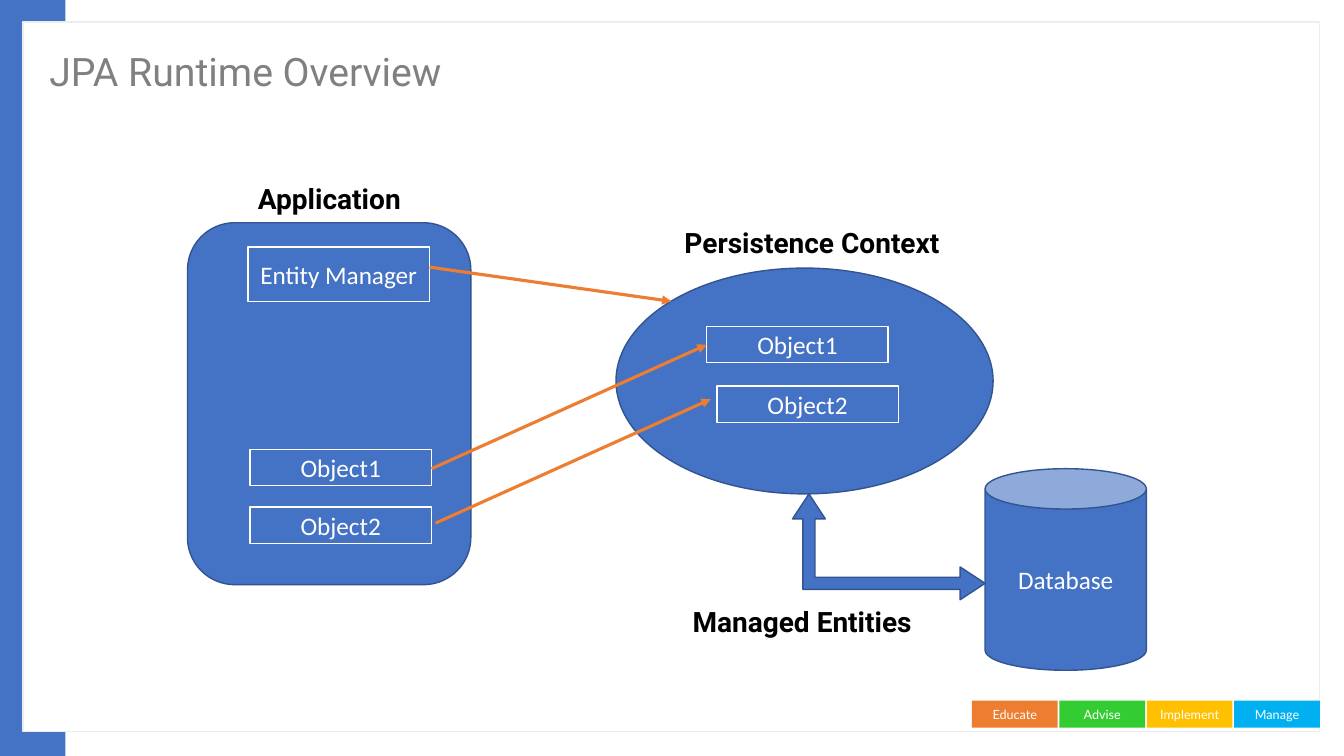
from pptx import Presentation
from pptx.dml.color import RGBColor
from pptx.enum.shapes import MSO_CONNECTOR, MSO_SHAPE
from pptx.enum.text import MSO_ANCHOR, PP_ALIGN
from pptx.oxml.ns import qn
from pptx.util import Inches, Pt
from lxml.etree import SubElement

THEME = {
    "blue": "4472C4", "edge": "325491", "white": "FFFFFF", "frame": "EDEDED",
    "arrow": "ED7D31", "line": 1, "arrow_line": 2.25,
    "title": dict(name="Roboto", size=28, color="808080"),
    "label": dict(name="Roboto", size=20, color="000000", bold=True),
    "box": dict(name="Calibri", size=18, color="FFFFFF"),
    "footer": dict(name="Lato", size=9, color="FFFFFF"),
}

# Content: places are left, top, width, height
TITLE = ("JPA Runtime Overview", (0.39, 0.3, 10.32, 0.87))
FOOTER = [("Educate", "ED7D31"), ("Advise", "33CC33"),
          ("Implement", "FFC000"), ("Manage", "00B0F0")]
CONTAINERS = [
    (MSO_SHAPE.ROUNDED_RECTANGLE, (1.86, 2.21, 2.81, 3.59), ""),
    (MSO_SHAPE.OVAL, (6.11, 2.66, 3.74, 2.24), ""),
    (MSO_SHAPE.CAN, (9.77, 4.65, 1.6, 2), "Database"),
]
BOX_W = 1.8
BOXES = [  # text, left, top, height
    ("Entity Manager", 2.46, 2.45, 0.54),
    ("Object1", 2.48, 4.46, 0.36), ("Object2", 2.48, 5.03, 0.36),
    ("Object1", 7.01, 3.24, 0.36), ("Object2", 7.11, 3.83, 0.36),
]
LABELS = [
    ("Managed Entities", (6.77, 5.95, 2.61, 0.44)),
    ("Persistence Context", (6.69, 2.19, 3.09, 0.44)),
    ("Application", (2.46, 1.75, 2.61, 0.44)),
]
ARROWS = [((4.26, 2.65), (6.66, 2.99)), ((4.28, 4.65), (7.01, 3.42)),
          ((4.32, 5.19), (7.05, 3.96))]

prs = Presentation()
prs.slide_width, prs.slide_height = Inches(13.33), Inches(7.5)
s = prs.slides.add_slide(prs.slide_layouts[6])


def inches(values):
    return [Inches(v) for v in values]


def rgb(value):
    return RGBColor.from_string(value)


def write(sp, text, style, align=PP_ALIGN.CENTER, anchor=MSO_ANCHOR.MIDDLE):
    tf = sp.text_frame
    tf.word_wrap, tf.vertical_anchor = True, anchor
    p = tf.paragraphs[0]
    p.alignment = align
    r = p.add_run()
    r.text = text
    for key, value in THEME[style].items():
        if key == "color":
            r.font.color.rgb = rgb(value)
        else:
            setattr(r.font, key, Pt(value) if key == "size" else value)
    return p


def shape(kind, place, fill=THEME["blue"], line=None, text="", style="box"):
    sp = s.shapes.add_shape(kind, *inches(place))
    sp.shadow.inherit = False
    sp.fill.solid()
    sp.fill.fore_color.rgb = rgb(fill)
    if line:
        sp.line.color.rgb = rgb(line)
        sp.line.width = Pt(THEME["line"])
    else:
        sp.line.fill.background()
    if text:
        write(sp, text, style)
    return sp


def textbox(text, place, style, anchor):
    sp = s.shapes.add_textbox(*inches(place))
    return write(sp, text, style, PP_ALIGN.LEFT, anchor)


# Side band, page frame and title
shape(MSO_SHAPE.RECTANGLE, (0, 0, 0.65, 7.5))
shape(MSO_SHAPE.RECTANGLE, (0.23, 0.22, 12.86, 7.04), THEME["white"], THEME["frame"])
textbox(*TITLE, "title", MSO_ANCHOR.MIDDLE).line_spacing = 0.9

# Footer tabs at an equal step
TAB_LEFT, TAB_STEP, TAB_W = 9.64, 0.867, 0.85
for i, (text, color) in enumerate(FOOTER):
    tab = shape(MSO_SHAPE.RECTANGLE, (TAB_LEFT + i * TAB_STEP, 6.95, TAB_W, 0.27),
                color, text=text, style="footer")
    tab.text_frame.margin_left = tab.text_frame.margin_right = 0

# Application, persistence context and database, then the boxes inside
for kind, place, text in CONTAINERS:
    shape(kind, place, line=THEME["edge"], text=text)
for text, left, top, height in BOXES:
    shape(MSO_SHAPE.RECTANGLE, (left, top, BOX_W, height), line=THEME["white"], text=text)

# Two-way arrow between context and database
sync = shape(MSO_SHAPE.LEFT_UP_ARROW, (8.29, 4.47, 1.05, 1.91), line=THEME["edge"])
sync.rotation = 90
for i, value in enumerate((0.114, 0.155, 0.236)):
    sync.adjustments[i] = value

for text, place in LABELS:
    textbox(text, place, "label", MSO_ANCHOR.TOP)

# Reference arrows
for start, end in ARROWS:
    c = s.shapes.add_connector(MSO_CONNECTOR.STRAIGHT, *inches(start + end))
    c.line.color.rgb = rgb(THEME["arrow"])
    c.line.width = Pt(THEME["arrow_line"])
    SubElement(c.line._get_or_add_ln(), qn("a:tailEnd"), type="triangle")
    SubElement(c._element.spPr, qn("a:effectLst"))

prs.save("out.pptx")
